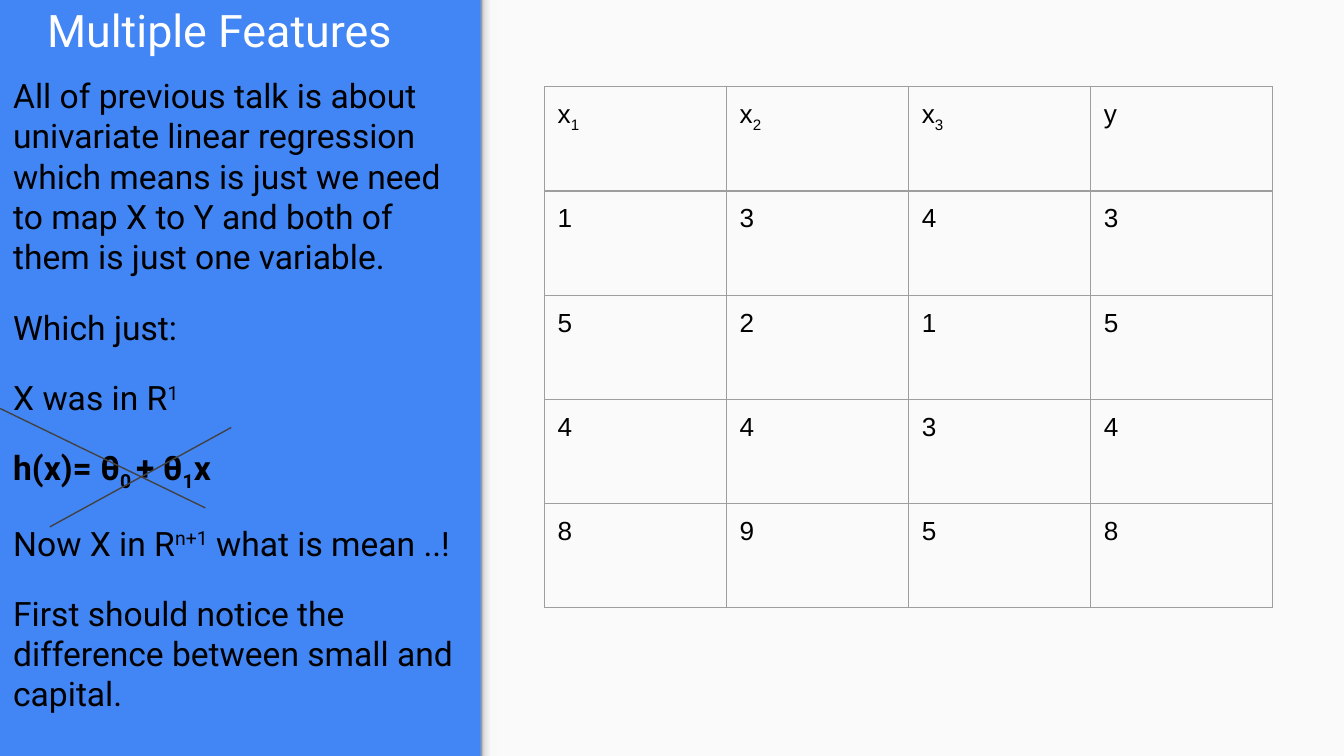
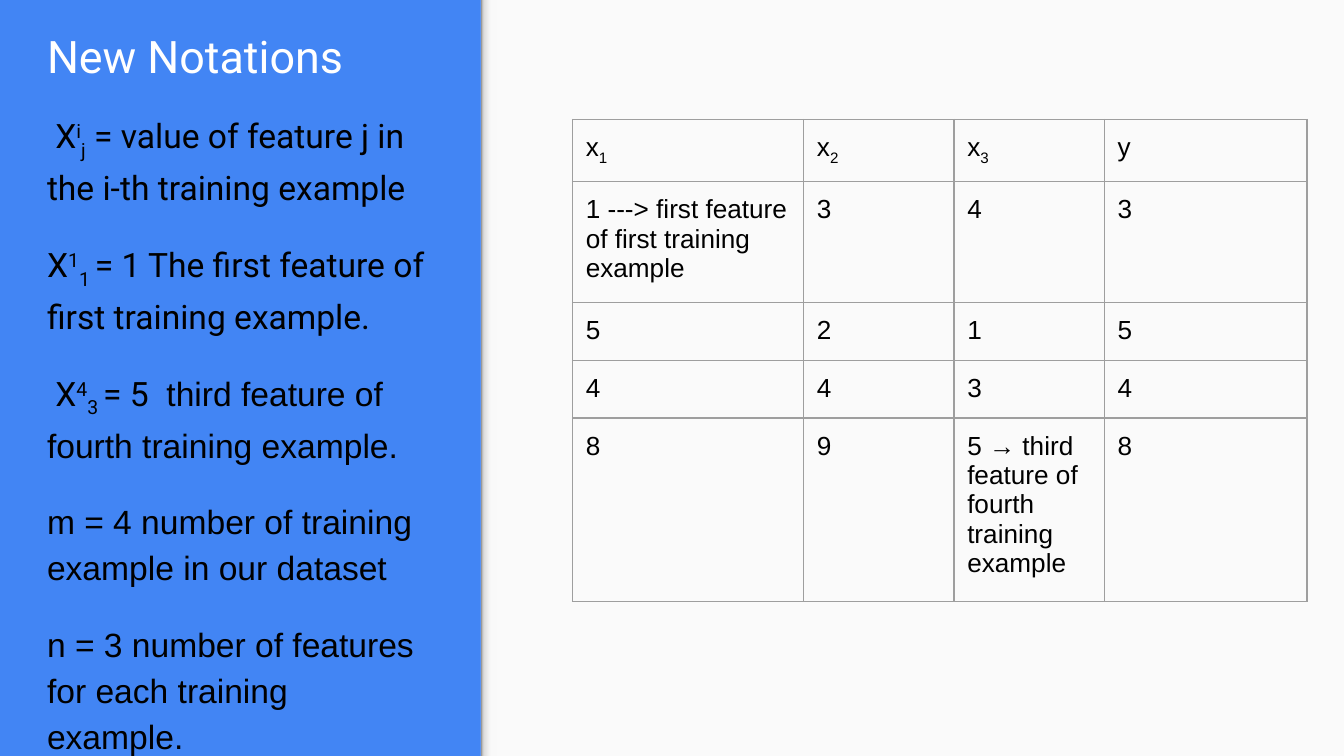
"""Two slides on linear regression with several features and its notation."""
from dataclasses import dataclass

from lxml.etree import SubElement as Sub
from pptx import Presentation
from pptx.dml.color import RGBColor as Rgb
from pptx.enum.shapes import MSO_CONNECTOR as Link, MSO_SHAPE as Kind
from pptx.enum.text import MSO_ANCHOR as Anchor
from pptx.oxml.ns import qn
from pptx.util import Cm, Pt

WIDE, HIGH, EDGE = 25.4, 14.29, 9.09
BLUE, PAPER, INK, WHITE = "4285F4", "FAFAFA", "000000", "FFFFFF"
GRID, STRIKE = "9E9E9E", "424242"
SHADE = {0: "F9F9F9", 36: "F9F9F9", 80: "DEDEDE", 100: "999999"}
SANS, PLAIN = "Roboto", "Arial"
BASE = {"^": "30000", "_": "-25000"}
PAD = 0.25


@dataclass
class Box:
    left: float
    top: float
    width: float
    height: float

    def cm(self) -> list:
        return [Cm(n) for n in (self.left, self.top, self.width, self.height)]


@dataclass
class Para:
    text: str
    face: str = SANS
    bold: bool = False


@dataclass
class Grid:
    left: float
    top: float
    cols: list[float]
    row: float
    cells: list[list[str]]


@dataclass
class Page:
    title: str
    head: Box
    paras: list[Para]
    body: Box
    pitch: float | None
    grid: Grid
    lines: list[tuple[float, float, float, float]]


def tint(code: str) -> Rgb:
    return Rgb.from_string(code)


def write(para, item: Para, size: float, color: str) -> None:
    font = para.font
    font.name, font.size, font.bold = item.face, Pt(size), item.bold
    font.color.rgb = tint(color)
    for part in filter(None, item.text.split("|")):
        mark = part[0] if part[0] in "^_~" else ""
        run = para.add_run()
        run.text = part[len(mark):]
        if mark in BASE:
            run.font._element.set("baseline", BASE[mark])
        elif mark == "~":
            run.font.name = PLAIN


def add_text(slide, box: Box, items: list[Para], size: float, color: str,
             anchor=Anchor.TOP, pitch: float | None = None) -> None:
    frame = slide.shapes.add_textbox(*box.cm()).text_frame
    frame.word_wrap, frame.vertical_anchor = True, anchor
    frame.margin_left = frame.margin_right = Cm(PAD)
    frame.margin_top = frame.margin_bottom = Cm(PAD)
    for i, item in enumerate(items):
        para = frame.add_paragraph() if i else frame.paragraphs[0]
        para.line_spacing = pitch
        para.space_before = Pt(16 if i else 0)
        write(para, item, size, color)


def add_rect(slide, box: Box):
    shape = slide.shapes.add_shape(Kind.RECTANGLE, *box.cm())
    shape.shadow.inherit = False
    shape.line.fill.background()
    return shape


def add_base(slide) -> None:
    back = slide.background.fill
    back.solid()
    back.fore_color.rgb = tint(BLUE)
    panel = add_rect(slide, Box(EDGE, 0, WIDE - EDGE, HIGH))
    panel.fill.solid()
    panel.fill.fore_color.rgb = tint(PAPER)
    thick = 0.3
    mid = EDGE + thick / 2
    bar = add_rect(slide, Box(mid - HIGH / 2, (HIGH - thick) / 2, HIGH, thick))
    bar.rotation = 270
    bar.fill.gradient()
    bar.fill.gradient_angle = 90
    stops = next(bar._element.iter(qn("a:gsLst")))
    stops.clear()
    for pos, code in SHADE.items():
        stop = Sub(stops, qn("a:gs"), pos=str(pos * 1000))
        Sub(stop, qn("a:srgbClr"), val=code)


def add_grid(slide, grid: Grid) -> None:
    rows = len(grid.cells)
    box = Box(grid.left, grid.top, sum(grid.cols), grid.row * rows)
    table = slide.shapes.add_table(rows, len(grid.cols), *box.cm()).table
    table.first_row = table.horz_banding = False
    for col, width in zip(table.columns, grid.cols):
        col.width = Cm(width)
    for row, texts in zip(table.rows, grid.cells):
        row.height = Cm(grid.row)
        for cell, text in zip(row.cells, texts):
            cell.margin_left = cell.margin_right = Cm(PAD)
            cell.margin_top = cell.margin_bottom = Cm(PAD)
            props = cell._tc.get_or_add_tcPr()
            for side in "LRTB":
                line = Sub(props, qn(f"a:ln{side}"), w=str(Pt(0.75)))
                fill = Sub(line, qn("a:solidFill"))
                Sub(fill, qn("a:srgbClr"), val=GRID)
            cell.fill.background()
            write(cell.text_frame.paragraphs[0], Para(text, PLAIN), 14, INK)


def add_line(slide, ends: tuple[float, float, float, float]) -> None:
    line = slide.shapes.add_connector(Link.STRAIGHT, *map(Cm, ends))
    line.line.color.rgb = tint(STRIKE)
    line.line.width = Pt(0.75)
    Sub(line._element.spPr, qn("a:effectLst"))


def add_page(deck, page: Page) -> None:
    slide = deck.slides.add_slide(deck.slide_layouts[6])
    add_base(slide)
    add_text(slide, page.head, [Para(page.title)], 24, WHITE, Anchor.BOTTOM)
    add_text(slide, page.body, page.paras, 18, INK, pitch=page.pitch)
    add_grid(slide, page.grid)
    for ends in page.lines:
        add_line(slide, ends)


NAMES = ["x|_1", "x|_2", "x|_3", "y"]
DATA = [list(row) for row in ("1343", "5215", "4434", "8958")]
NOTED = [row[:] for row in DATA]
NOTED[0][0] = "1 ---> first feature of first training example"
NOTED[3][2] = "5 → third feature of fourth training example"

PAGES = [
    Page(
        "Multiple Features", Box(0.64, -0.25, 7.8, 1.57),
        [
            Para("All of previous talk is about univariate linear regression "
                 "which means is just we need to map X to Y and both of them "
                 "is just one variable."),
            Para("Which just:"),
            Para("X was in R|^1"),
            Para("h(x)= θ|_0 |+ θ|_1|x", bold=True),
            Para("Now X in R|^n+1| what is mean ..!"),
            Para("First should notice the difference between small and "
                 "capital."),
        ],
        Box(0, 1.17, EDGE, 13.12), None,
        Grid(10.29, 1.64, [3.44] * 4, 1.97, [NAMES] + DATA),
        [(0, 7.72, 3.88, 9.6), (4.37, 8.08, 0.94, 9.96)],
    ),
    Page(
        "New Notations", Box(0.64, 0, 7.8, 1.8),
        [
            Para(" X|^i|_j| = value of feature j in the i-th training "
                 "example"),
            Para("X|^1|_1 |= 1 The first feature of first training example."),
            Para(" X|^4|_3 |= 5 |~ third feature of fourth training example."),
            Para("m = 4 number of training example in our dataset", PLAIN),
            Para("n = 3 number of features for each training example.", PLAIN),
        ],
        Box(0.64, 1.8, 7.8, 12.32), 1.15,
        Grid(10.82, 2.26, [4.37, 2.84, 2.84, 3.83], 1.06, [NAMES] + NOTED),
        [],
    ),
]


def main() -> None:
    deck = Presentation()
    deck.slide_width, deck.slide_height = Cm(WIDE), Cm(HIGH)
    for page in PAGES:
        add_page(deck, page)
    deck.save("out.pptx")


main()
